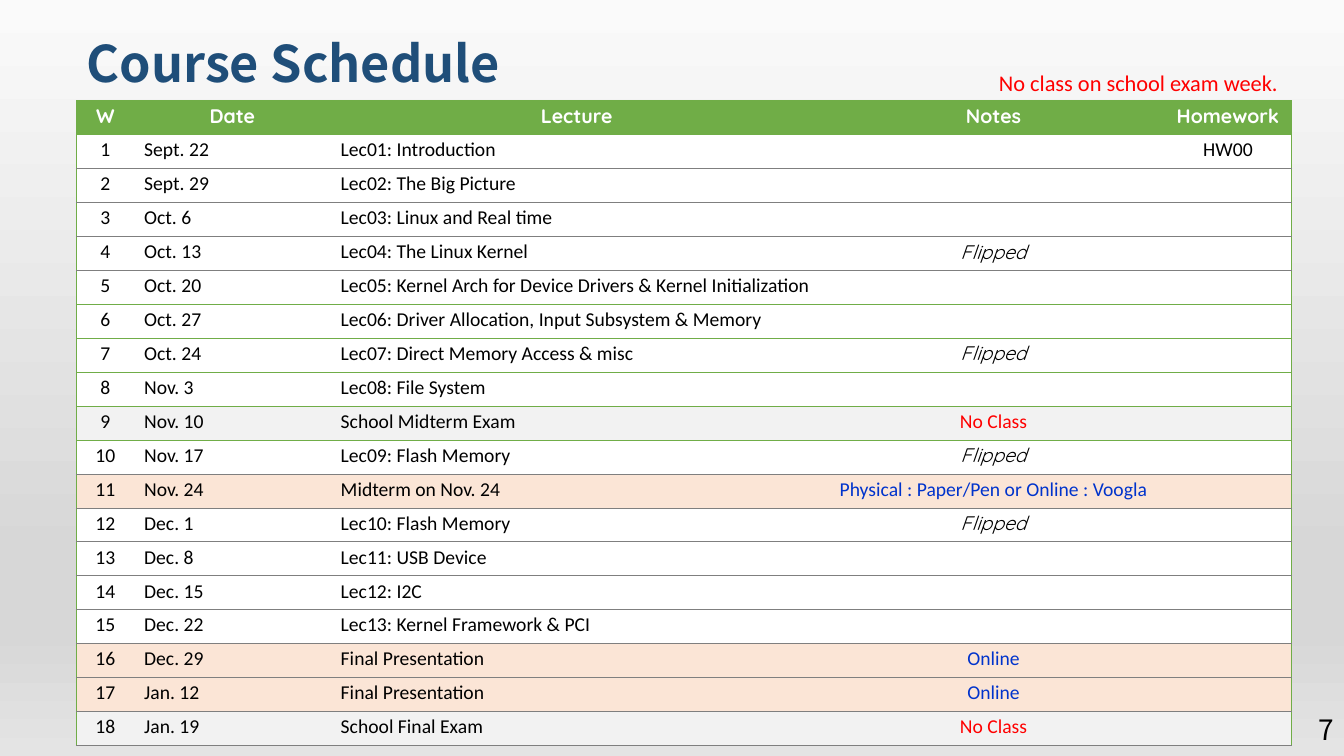
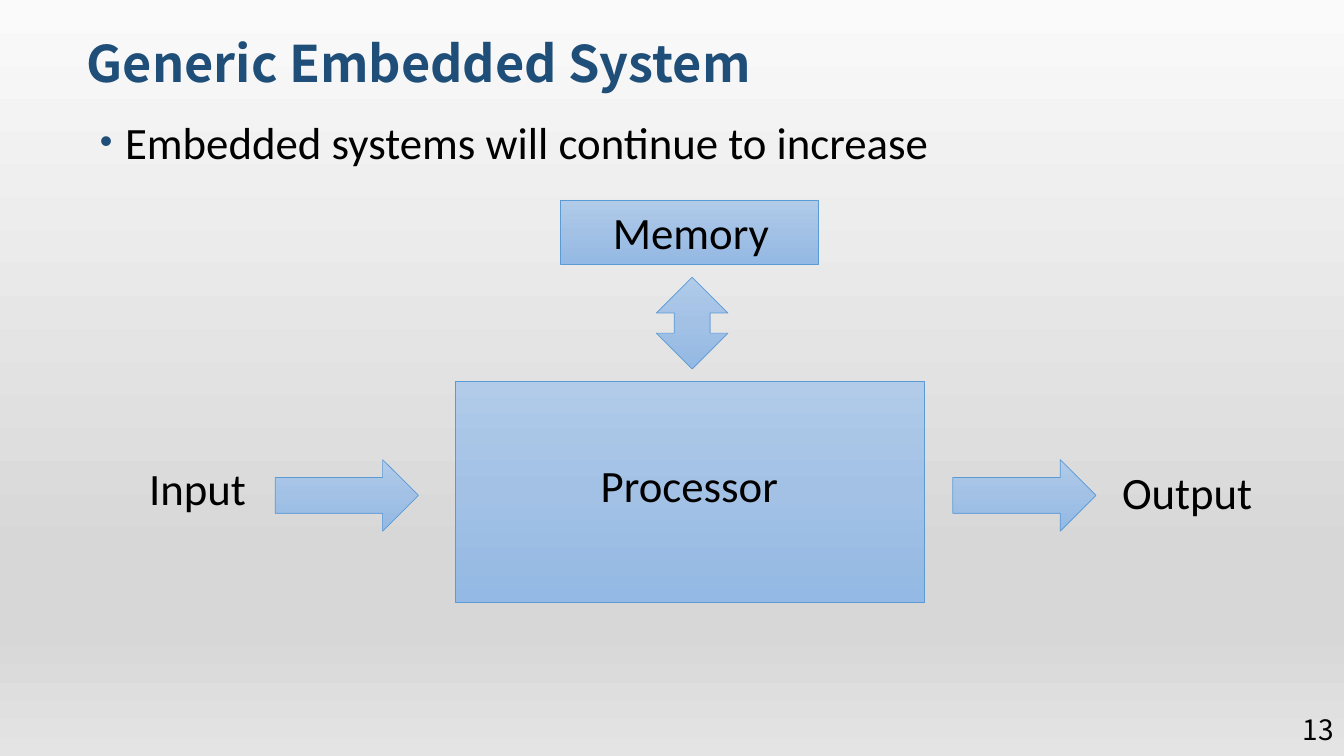
"""Build a course schedule slide and an embedded system diagram slide."""
from lxml import etree
from pptx import Presentation
from pptx import util as u
from pptx.dml.color import RGBColor
from pptx.enum import shapes, text
from pptx.oxml import ns

SANS, HEADING, ACCENT = "Calibri", "Noto Sans CJK TC", "Quicksand"
BLACK, WHITE, NAVY, GREEN, GREY = "000000", "FFFFFF", "1F4E79", "70AD47", "7F7F7F"
RED, BLUE, PEACH, PALE = "FF0000", "0033CC", "FBE5D6", "F2F2F2"
BACKDROP = [(0, "FAFAFA"), (74, "D7D7D7"), (83, "D7D7D7"), (100, "E4E4E4")]
BLOCK_FILL = [(0, "B1CBE9"), (50, "A3C1E5"), (100, "93B9E4")]
LEFT, CENTER, RIGHT = text.PP_ALIGN.LEFT, text.PP_ALIGN.CENTER, text.PP_ALIGN.RIGHT
TOP, MIDDLE, BOTTOM = text.MSO_ANCHOR.TOP, text.MSO_ANCHOR.MIDDLE, text.MSO_ANCHOR.BOTTOM

HEADER = ["W", "Date", "Lecture", "Notes", "Homework"]
WIDTHS = [0.57, 1.95, 4.88, 3.39, 1.26]
ALIGNS = [CENTER, LEFT, LEFT, CENTER, CENTER]
TABLE_HEIGHT = 6.4
GREEN_RULES = range(5, 10)
WEEKS = [
    ("Sept. 22", "Lec01: Introduction", "", "HW00"),
    ("Sept. 29", "Lec02: The Big Picture", "", ""),
    ("Oct. 6", "Lec03: Linux and Real time", "", ""),
    ("Oct. 13", "Lec04: The Linux Kernel", "Flipped", ""),
    ("Oct. 20", "Lec05: Kernel Arch for Device Drivers & Kernel Initialization", "", ""),
    ("Oct. 27", "Lec06: Driver Allocation, Input Subsystem & Memory", "", ""),
    ("Oct. 24", "Lec07: Direct Memory Access & misc", "Flipped", ""),
    ("Nov. 3", "Lec08: File System", "", ""),
    ("Nov. 10", "School Midterm Exam", "No Class", ""),
    ("Nov. 17", "Lec09: Flash Memory", "Flipped", ""),
    ("Nov. 24", "Midterm on Nov. 24", "Physical : Paper/Pen or Online : Voogla", ""),
    ("Dec. 1", "Lec10: Flash Memory", "Flipped", ""),
    ("Dec. 8", "Lec11: USB Device", "", ""),
    ("Dec. 15", "Lec12: I2C", "", ""),
    ("Dec. 22", "Lec13: Kernel Framework & PCI", "", ""),
    ("Dec. 29", "Final Presentation", "Online", ""),
    ("Jan. 12", "Final Presentation", "Online", ""),
    ("Jan. 19", "School Final Exam", "No Class", ""),
]
PLAIN_ROW = (WHITE, {})
ROW_STYLES = {
    "Flipped": (WHITE, {"font": ACCENT, "italic": True}),
    "No Class": (PALE, {"color": RED}),
    "Online": (PEACH, {"color": BLUE}),
    "Physical : Paper/Pen or Online : Voogla": (PEACH, {"color": BLUE}),
}

KINDS = shapes.MSO_SHAPE
BLOCKS = [
    (KINDS.RECTANGLE, (4.52, 3.78, 4.65, 2.2)),
    (KINDS.RECTANGLE, (5.56, 1.99, 2.56, 0.63)),
    (KINDS.RIGHT_ARROW, (2.73, 4.56, 1.42, 0.71)),
    (KINDS.RIGHT_ARROW, (9.45, 4.56, 1.42, 0.71)),
    (KINDS.UP_DOWN_ARROW, (6.51, 2.75, 0.71, 0.91)),
]
LABELS = [
    ("Input", (1.38, 4.58, 1.18, 0.59)),
    ("Output", (11.03, 4.62, 1.51, 0.59)),
    ("Processor", (5.86, 4.55, 1.97, 0.59)),
    ("Memory", (5.98, 2.04, 1.77, 0.59)),
]


def rgb(value):
    return RGBColor.from_string(value)


def inches(place):
    return [u.Inches(length) for length in place]


def add_xml(parent, tag, **attributes):
    return etree.SubElement(parent, ns.qn(tag), {k: str(v) for k, v in attributes.items()})


def write(frame, words, size=14, font=SANS, color=BLACK, bold=False, italic=False,
          align=LEFT, anchor=TOP, spacing=0.9, wrap=True):
    frame.word_wrap = wrap
    frame.vertical_anchor = anchor
    para = frame.paragraphs[0]
    para.alignment, para.line_spacing = align, spacing
    if words:
        span = para.add_run()
        span.text = words
        span.font.size, span.font.name = u.Pt(size), font
        span.font.bold, span.font.italic = bold, italic
        span.font.color.rgb = rgb(color)
    else:
        ending = add_xml(para._p, "a:endParaRPr", sz=size * 100)
        add_xml(ending, "a:latin", typeface=font)
    return para


def add_text(page, words, place, **style):
    box = page.shapes.add_textbox(*inches(place))
    write(box.text_frame, words, **style)


def fill_placeholder(holder, words, place, **style):
    holder.left, holder.top, holder.width, holder.height = inches(place)
    holder.text_frame.auto_size = text.MSO_AUTO_SIZE.NONE
    return write(holder.text_frame, words, **style)


def add_shaded(page, kind, place, stops):
    shape = page.shapes.add_shape(kind, *inches(place))
    shape.shadow.inherit = False
    shape.fill.gradient()
    shape.fill.gradient_angle = 270
    stop_list = shape.element.find(".//" + ns.qn("a:gsLst"))
    for stop in list(stop_list):
        stop_list.remove(stop)
    for percent, color in stops:
        stop = add_xml(stop_list, "a:gs", pos=percent * 1000)
        add_xml(stop, "a:srgbClr", val=color)
    return shape


def add_backdrop(deck, page):
    backdrop = add_shaded(page, KINDS.RECTANGLE, (0, 0, 13.33, 7.5), BACKDROP)
    backdrop.line.fill.background()
    deck.slide_master.element.cSld.spTree.insert(2, backdrop.element)


def start_page(deck, layout, title, number):
    page = deck.slides.add_slide(deck.slide_layouts.get_by_name(layout))
    fill_placeholder(page.shapes.title, title, (0.76, 0.21, 11.31, 0.77), size=36,
                     font=HEADING, color=NAVY, bold=True, anchor=BOTTOM)
    add_text(page, number, (12.08, 7.14, 1.25, 0.2), size=20, font=HEADING,
             align=RIGHT, anchor=MIDDLE, spacing=1.0)
    return page


def set_borders(cell, **colors):
    properties = cell._tc.get_or_add_tcPr()
    for side in "LRTB":
        color = colors.get(side)
        line = add_xml(properties, "a:ln" + side, w=u.Pt(1 if color == GREEN else 0.75))
        paint = add_xml(line, "a:solidFill" if color else "a:noFill")
        if color:
            add_xml(paint, "a:srgbClr", val=color)


def rule_color(line):
    return GREEN if line <= 1 or line - 1 in GREEN_RULES else GREY


def build_schedule(deck):
    page = start_page(deck, "Title Only", "Course Schedule", "7")
    rows = [HEADER] + [(str(week), *cells) for week, cells in enumerate(WEEKS, 1)]
    frame = page.shapes.add_table(len(rows), len(HEADER),
                                  *inches((0.76, 1, sum(WIDTHS), TABLE_HEIGHT)))
    table = frame.table
    for column, width in zip(table.columns, WIDTHS):
        column.width = u.Inches(width)
    for r, values in enumerate(rows):
        table.rows[r].height = u.Inches(TABLE_HEIGHT / len(rows))
        row_fill, note_style = ROW_STYLES.get(values[3], PLAIN_ROW)
        for c, words in enumerate(values):
            cell = table.cell(r, c)
            set_borders(cell, L=GREEN if c == 0 else None,
                        R=GREEN if c == len(HEADER) - 1 else None,
                        T=rule_color(r), B=rule_color(r + 1))
            cell.fill.solid()
            cell.fill.fore_color.rgb = rgb(row_fill if r else GREEN)
            if r == 0:
                style = {"font": ACCENT, "color": WHITE, "bold": True, "align": CENTER}
            else:
                style = {"align": ALIGNS[c], **(note_style if c == 3 else {})}
            write(cell.text_frame, words, spacing=u.Pt(16), **style)
    add_text(page, "No class on school exam week.", (9.81, 0.67, 3, 0.34),
             size=16, color=RED, wrap=False)
    return page


def add_bullet(para):
    para.space_before = u.Pt(3)
    properties = para._p.get_or_add_pPr()
    properties.set("marL", str(u.Inches(0.3)))
    properties.set("indent", str(u.Inches(-0.25)))
    add_xml(add_xml(properties, "a:buClr"), "a:srgbClr", val=NAVY)
    add_xml(properties, "a:buSzPct", val=80000)
    add_xml(properties, "a:buChar", char="•")


def build_diagram(deck):
    page = start_page(deck, "Title and Content", "Generic Embedded System", "13")
    add_bullet(fill_placeholder(page.placeholders[1],
                                "Embedded systems will continue to increase",
                                (0.84, 0.98, 11.73, 6.16), size=32, spacing=1.2))
    for kind, place in BLOCKS:
        block = add_shaded(page, kind, place, BLOCK_FILL)
        block.line.color.rgb = rgb("5B9BD5")
        block.line.width = u.Pt(0.5)
    for words, place in LABELS:
        add_text(page, words, place, size=32, wrap=False)


def main():
    deck = Presentation()
    deck.slide_width, deck.slide_height = inches((13.33, 7.5))
    schedule = build_schedule(deck)
    add_backdrop(deck, schedule)
    build_diagram(deck)
    deck.save("out.pptx")


if __name__ == "__main__":
    main()
